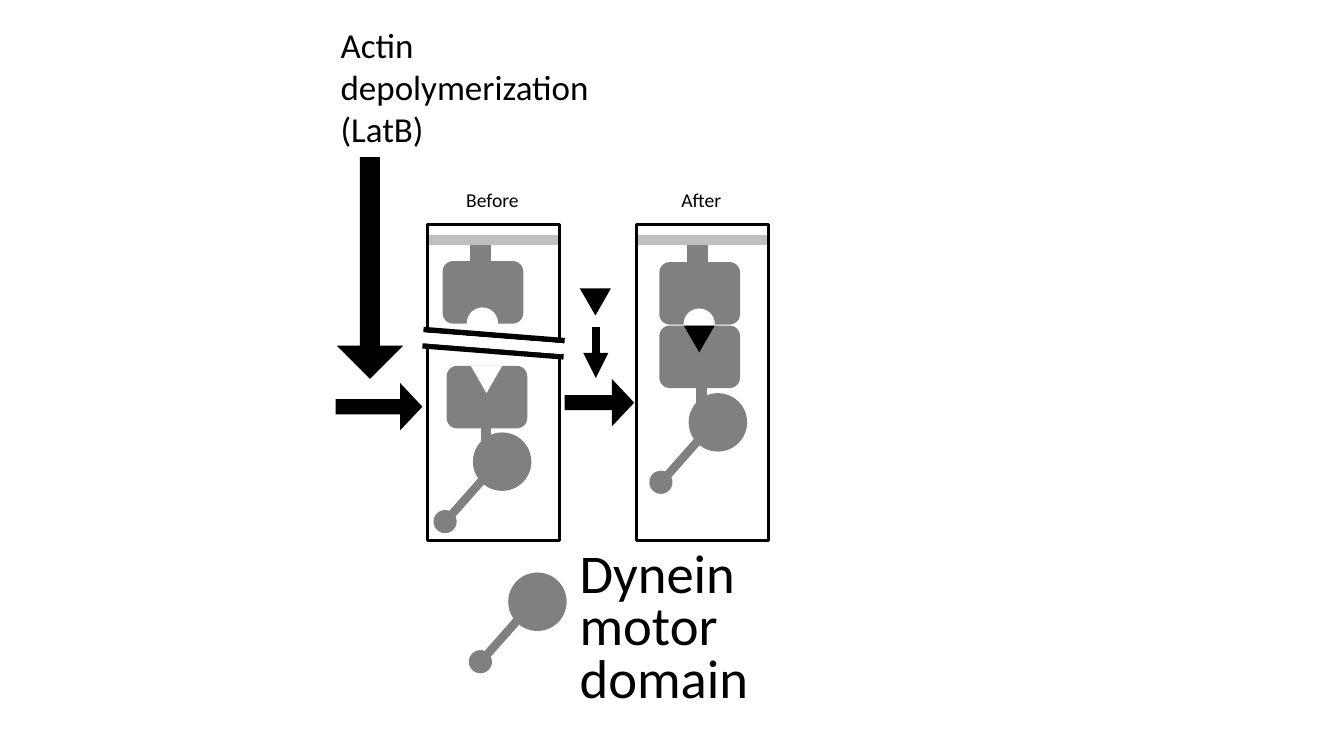
from math import cos, pi, sin

from lxml.etree import SubElement
from pptx import Presentation
from pptx.dml.color import RGBColor
from pptx.enum.shapes import MSO_CONNECTOR, MSO_SHAPE
from pptx.enum.text import MSO_AUTO_SIZE, PP_ALIGN
from pptx.oxml.ns import qn
from pptx.util import Inches, Pt

BLACK, GRAY, PALE, WHITE = "000000", "808080", "BFBFBF", "FFFFFF"


def color(code):
    """Turn a hex string into a colour."""
    return RGBColor.from_string(code)


class Sketch:
    """Draws the parts of the dynein diagram on one slide."""

    font = "Calibri"

    def __init__(self, slide):
        """Keep the slide's shapes."""
        self.shapes = slide.shapes

    def paint(self, shape, fill):
        """Give a shape a plain fill and no line."""
        shape.shadow.inherit = False
        shape.fill.solid()
        shape.fill.fore_color.rgb = color(fill)
        shape.line.fill.background()

    def shape(self, kind, x, y, w, h, fill, turn=0, adjust=()):
        """Add a filled preset shape."""
        item = self.shapes.add_shape(kind, Inches(x), Inches(y), Inches(w), Inches(h))
        self.paint(item, fill)
        item.rotation = turn
        for i, value in enumerate(adjust):
            item.adjustments[i] = value
        return item

    def line(self, x1, y1, x2, y2, ink, width, arrow=False):
        """Add a straight line, with an arrowhead if asked."""
        item = self.shapes.add_connector(
            MSO_CONNECTOR.STRAIGHT, Inches(x1), Inches(y1), Inches(x2), Inches(y2))
        item.line.color.rgb = color(ink)
        item.line.width = Pt(width)
        if arrow:
            SubElement(item.line._get_or_add_ln(), qn("a:tailEnd"), type="triangle")
        SubElement(item._element.spPr, qn("a:effectLst"))

    def text(self, x, y, w, h, words, size, align=PP_ALIGN.LEFT, space=1.0):
        """Add a text box with one paragraph per line of words."""
        box = self.shapes.add_textbox(Inches(x), Inches(y), Inches(w), Inches(h))
        frame = box.text_frame
        frame.text = words
        frame.word_wrap = False
        frame.auto_size = MSO_AUTO_SIZE.SHAPE_TO_FIT_TEXT
        for para in frame.paragraphs:
            para.alignment = align
            para.line_spacing = space
            for run in para.runs:
                run.font.name = self.font
                run.font.size = Pt(size)
                run.font.color.rgb = color(BLACK)

    def panel(self, x, label):
        """Add a labelled frame with its membrane."""
        self.line(x, 2.38, x + 1.3, 2.38, PALE, 7.5)
        frame = self.shape(MSO_SHAPE.RECTANGLE, x, 2.23, 1.31, 3.13, WHITE)
        frame.fill.background()
        frame.line.color.rgb = color(BLACK)
        frame.line.width = Pt(2)
        self.text(x + 0.28, 1.82, 0.73, 0.34, label, 14, PP_ALIGN.CENTER)

    def block(self, x, y):
        """Add a rounded protein block."""
        self.shape(MSO_SHAPE.ROUNDED_RECTANGLE, x, y, 0.8, 0.62, GRAY)

    def wedge(self, x, y, fill):
        """Add a triangle that points down."""
        self.shape(MSO_SHAPE.ISOSCELES_TRIANGLE, x, y, 0.31, 0.27, fill, 180)

    def anchor(self, x, y):
        """Add the upper block with its stem and round notch."""
        self.line(x + 0.38, 2.43, x + 0.38, y + 0.03, GRAY, 15)
        self.block(x, y)
        self.shape(MSO_SHAPE.OVAL, x + 0.24, y + 0.46, 0.31, 0.31, WHITE)

    def mate(self, x, y):
        """Add the lower block with its pointed notch."""
        self.block(x, y)
        self.wedge(x + 0.24, y, WHITE)

    def motor(self, x, y, stalk=True):
        """Add a motor domain, with a stalk up to its block if asked."""
        if stalk:
            self.line(x + 0.13, y - 0.13, x + 0.13, y + 0.2, GRAY, 7.5)
        self.shape(MSO_SHAPE.OVAL, x, y, 0.58, 0.58, GRAY)
        self.line(x + 0.21, y + 0.34, x - 0.25, y + 0.86, GRAY, 6)
        self.shape(MSO_SHAPE.OVAL, x - 0.39, y + 0.77, 0.23, 0.23, GRAY)

    def drug(self, x, y):
        """Add the linker molecule: a wedge under a round cap."""
        self.wedge(x, y + 0.16, BLACK)
        mid, base, steps = x + 0.155, y + 0.16, 24
        turns = [2 * pi * i / (2 * steps) for i in range(2 * steps)]
        dots = [(mid - 0.155 * cos(t), base - (0.16 if sin(t) > 0 else 0.02) * sin(t))
                for t in turns]
        pen = self.shapes.build_freeform(*dots[0], scale=Inches(1))
        pen.add_line_segments(dots[1:])
        self.paint(pen.convert_to_shape(), BLACK)

    def gap(self, x, y):
        """Add the slanted break across a panel."""
        for dx, dy, ink, width in ((0, 0.16, BLACK, 4), (0.01, 0, BLACK, 4),
                                   (-0.01, 0.08, WHITE, 7.75)):
            self.line(x + dx, y + dy, x + dx + 1.4, y + dy + 0.11, ink, width)


def main():
    """Build the slide and save it."""
    deck = Presentation()
    deck.slide_width, deck.slide_height = Inches(13.33), Inches(7.5)
    art = Sketch(deck.slides.add_slide(deck.slide_layouts[6]))

    art.panel(4.24, "Before")
    art.anchor(4.39, 2.59)
    art.mate(4.43, 3.63)
    art.gap(4.19, 3.27)
    art.motor(4.69, 4.29)

    art.panel(6.31, "After")
    art.anchor(6.54, 2.6)
    art.mate(6.54, 3.23)
    art.drug(6.78, 3.07)
    art.motor(6.83, 3.9)

    art.motor(5.04, 5.68, stalk=False)
    art.text(5.65, 5.42, 1.89, 1.69, "Dynein\nmotor\ndomain", 39, space=0.8)

    art.drug(5.75, 2.7)
    art.line(5.91, 3.24, 5.91, 3.75, BLACK, 6, arrow=True)
    for x, y, w in ((5.6, 3.76, 0.69), (3.33, 3.8, 0.86)):
        art.shape(MSO_SHAPE.RIGHT_ARROW, x, y, w, 0.47, BLACK, adjust=(0.32, 0.47))
    art.shape(MSO_SHAPE.DOWN_ARROW, 3.34, 1.56, 0.66, 2.2, BLACK, adjust=(0.3, 0.5))
    art.text(3.28, 0.18, 2.69, 1.36, "Actin\ndepolymerization\n(LatB)", 25)
    deck.save("out.pptx")


if __name__ == "__main__":
    main()
